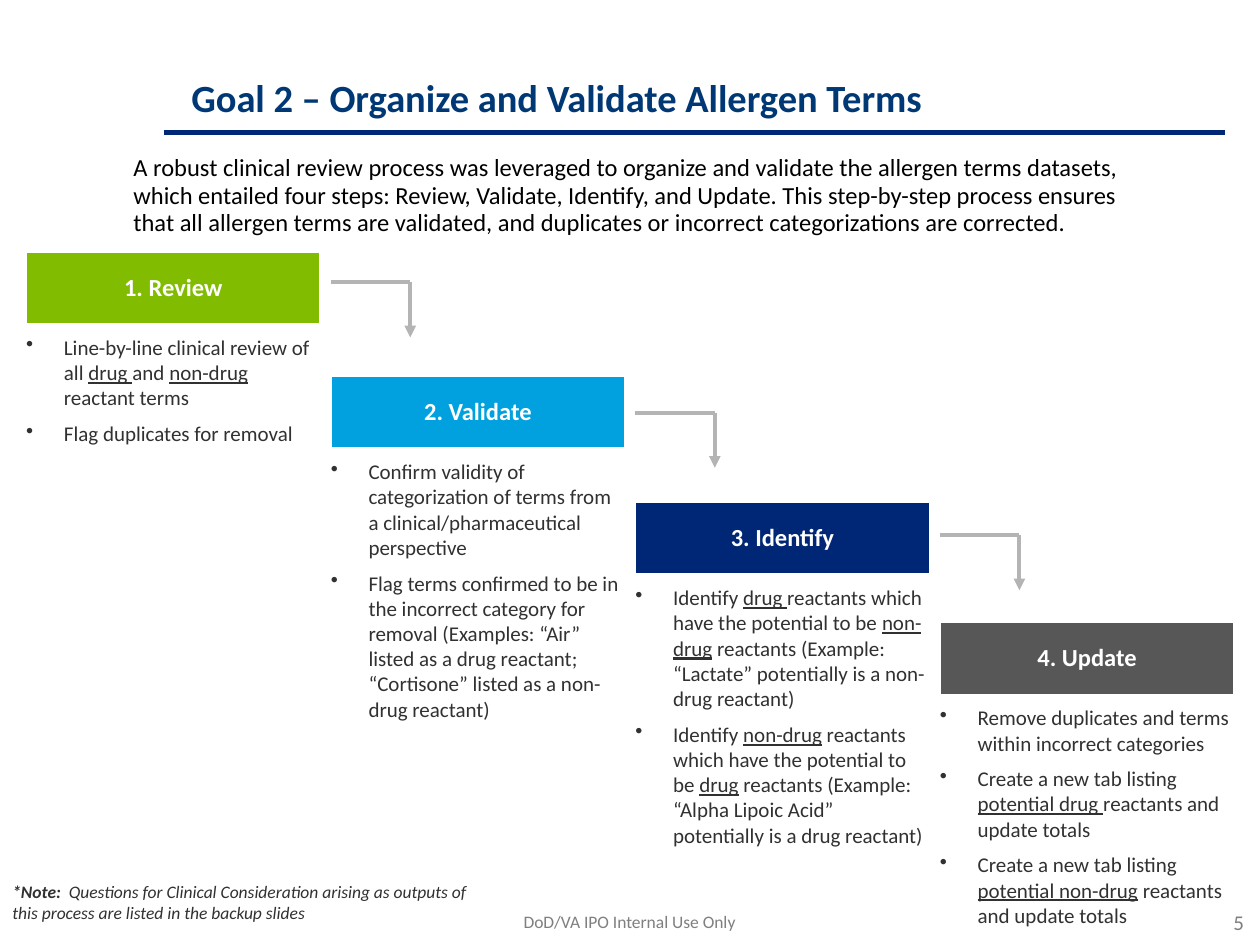
"""Build the slide on organizing and validating allergen terms in four steps."""
from lxml.etree import SubElement
from pptx import Presentation
from pptx.dml.color import RGBColor
from pptx.enum.shapes import MSO_CONNECTOR, MSO_SHAPE
from pptx.enum.text import MSO_ANCHOR, PP_ALIGN
from pptx.oxml.ns import qn
from pptx.util import Cm, Pt

NAVY = RGBColor(0x00, 0x27, 0x76)
BLUE = RGBColor(0x00, 0x38, 0x76)
GREEN = RGBColor(0x81, 0xBC, 0x00)
CYAN = RGBColor(0x00, 0xA1, 0xDE)
SLATE = RGBColor(0x57, 0x57, 0x57)
INK = RGBColor(0x31, 0x31, 0x31)
GRAY = RGBColor(0x7F, 0x7F, 0x7F)
SILVER = RGBColor(0xB4, 0xB4, 0xB4)
WHITE = RGBColor(0xFF, 0xFF, 0xFF)
BLACK = RGBColor(0x00, 0x00, 0x00)

deck = Presentation()
deck.slide_width, deck.slide_height = Cm(25.4), Cm(19.05)
slide = deck.slides.add_slide(deck.slide_layouts[6])
shapes = slide.shapes


def write(shape, texts, size, color, inset=(0.25, 0.13), anchor=MSO_ANCHOR.TOP,
          para={}, font={}, mark="underline", bullet=False):
    """Fill a shape with paragraphs, where underscores enclose marked runs."""
    frame = shape.text_frame
    side, edge = map(Cm, inset)
    layout = {"word_wrap": True, "vertical_anchor": anchor, "margin_left": side,
              "margin_right": side, "margin_top": edge, "margin_bottom": edge}
    for key, val in layout.items():
        setattr(frame, key, val)
    for i, text in enumerate(texts):
        line = frame.add_paragraph() if i else frame.paragraphs[0]
        if bullet:
            props = line._p.get_or_add_pPr()
            props.set("marL", str(Cm(0.76)))
            props.set("indent", str(-Cm(0.76)))
            SubElement(props, qn("a:buChar"), char="•")
        if i:
            line.space_before = Pt(6)
        for key, val in para.items():
            setattr(line, key, val)
        for j, part in enumerate(text.split("_")):
            if not part:
                continue
            run = line.add_run()
            run.text = part
            look = {"name": "Calibri", "size": Pt(size), **font}
            if j % 2:
                look[mark] = True
            for key, val in look.items():
                setattr(run.font, key, val)
            run.font.color.rgb = color


def rule(x1, y1, x2, y2, color, width, arrow=False):
    """Draw a straight line, with an arrowhead at its end if asked."""
    line = shapes.add_connector(MSO_CONNECTOR.STRAIGHT, Cm(x1), Cm(y1), Cm(x2), Cm(y2))
    line.line.color.rgb = color
    line.line.width = Pt(width)
    if arrow:
        SubElement(line.line._get_or_add_ln(), qn("a:tailEnd"), type="triangle")
    SubElement(line._element.spPr, qn("a:effectLst"))


rule(3.3, 2.67, 24.69, 2.67, NAVY, 3)

NOTES = [
    ((1.55, 18.24, 22.28, 0.76), "DoD/VA IPO Internal Use Only", 10, GRAY,
     {"para": {"alignment": PP_ALIGN.CENTER}}),
    ((3.61, 0.03, 20.8, 2.54), "Goal 2 – Organize and Validate Allergen Terms", 22, BLUE,
     {"anchor": MSO_ANCHOR.BOTTOM, "para": {"line_spacing": 0.9}, "font": {"bold": True}}),
    ((23.22, 18.19, 2.11, 0.79), "5", 12, GRAY,
     {"anchor": MSO_ANCHOR.BOTTOM, "para": {"alignment": PP_ALIGN.RIGHT}}),
    ((0, 17.17, 9.91, 2.03),
     "_*Note: _ Questions for Clinical Consideration arising as outputs of this process "
     "are listed in the backup slides", 10, INK,
     {"inset": (0.25, 0.25), "anchor": MSO_ANCHOR.MIDDLE, "font": {"italic": True},
      "mark": "bold"}),
    ((2.44, 2.97, 20.78, 3.07),
     "A robust clinical review process was leveraged to organize and validate the allergen "
     "terms datasets, which entailed four steps: Review, Validate, Identify, and Update. "
     "This step-by-step process ensures that all allergen terms are validated, and "
     "duplicates or incorrect categorizations are corrected.", 14, BLACK,
     {"para": {"line_spacing": 0.95}}),
]
for place, text, size, color, opts in NOTES:
    write(shapes.add_textbox(*map(Cm, place)), [text], size, color, **opts)

STEPS = [
    ("Review", GREEN, 5.08, 2.24, [
        "Line-by-line clinical review of all _drug _and _non-drug _reactant terms",
        "Flag duplicates for removal"]),
    ("Validate", CYAN, 7.59, 5.28, [
        "Confirm validity of categorization of terms from a clinical/pharmaceutical "
        "perspective",
        "Flag terms confirmed to be in the incorrect category for removal (Examples: “Air” "
        "listed as a drug reactant; “Cortisone” listed as a non-drug reactant)"]),
    ("Identify", NAVY, 10.13, 5.28, [
        "Identify _drug _reactants which have the potential to be _non-drug_ reactants "
        "(Example: “Lactate” potentially is a non-drug reactant)",
        "Identify _non-drug_ reactants which have the potential to be _drug_ reactants "
        "(Example: “Alpha Lipoic Acid” potentially is a drug reactant)"]),
    ("Update", SLATE, 12.55, 4.5, [
        "Remove duplicates and terms within incorrect categories",
        "Create a new tab listing _potential drug _reactants and update totals",
        "Create a new tab listing _potential non-drug_ reactants and update totals"]),
]
WIDE, STEP = 5.93, 6.14
for i, (name, color, top, high, items) in enumerate(STEPS):
    left = 0.53 + STEP * i
    head = shapes.add_shape(MSO_SHAPE.RECTANGLE, Cm(left), Cm(top), Cm(WIDE), Cm(1.45))
    head.shadow.inherit = False
    head.fill.solid()
    head.fill.fore_color.rgb = color
    head.line.color.rgb = WHITE
    head.line.width = Pt(1)
    write(head, [f"{i + 1}. {name}"], 14, WHITE, (0.1, 0.1), MSO_ANCHOR.MIDDLE,
          {"alignment": PP_ALIGN.CENTER, "line_spacing": 0.95}, {"bold": True})
    body = shapes.add_textbox(Cm(left), Cm(top + 1.66), Cm(WIDE), Cm(high))
    write(body, items, 12, INK, (0, 0), bullet=True)

for i, y in enumerate((5.69, 8.32, 10.79), 1):
    x = 0.53 + STEP * i
    rule(x, y, x + 1.6, y, SILVER, 2.25)
    rule(x + 1.6, y, x + 1.6, y + 1.11, SILVER, 2.25, True)

deck.save("out.pptx")
